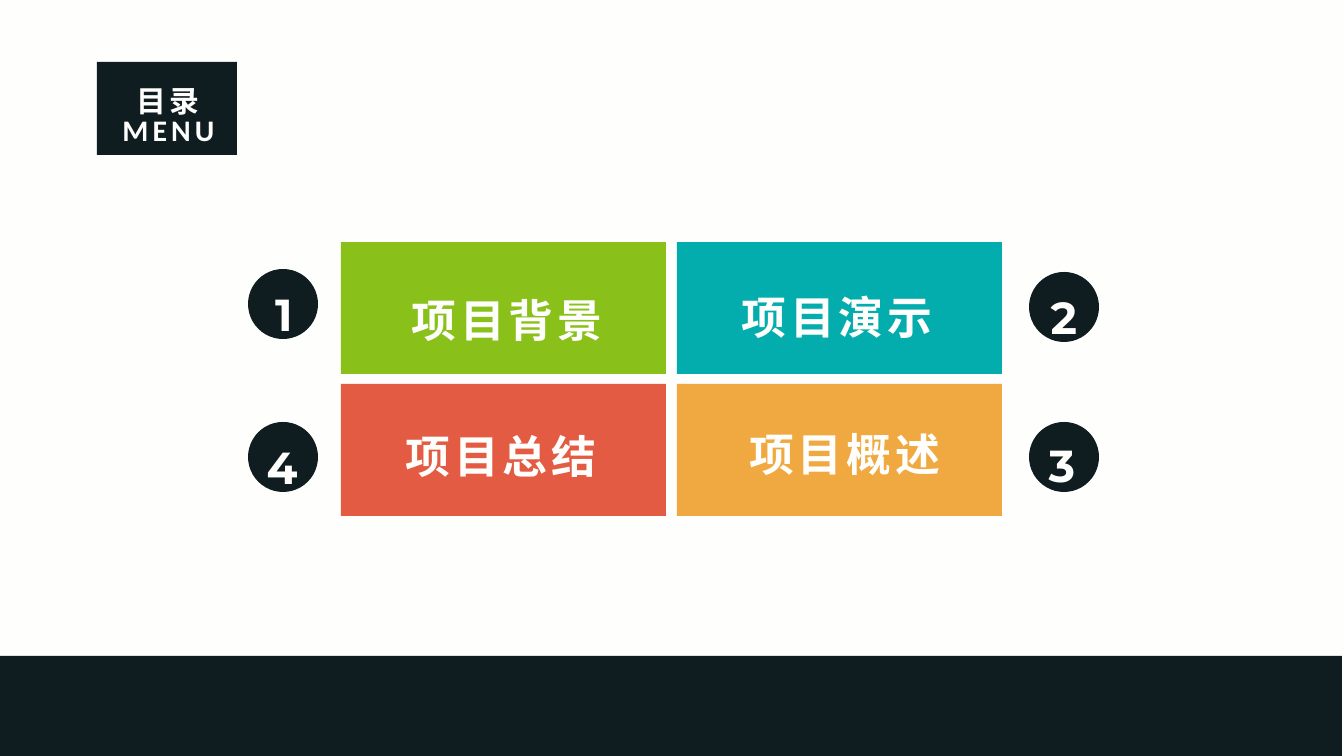
from dataclasses import dataclass

import lxml.etree
import pptx
import pptx.dml.color
import pptx.enum.shapes
import pptx.enum.text
import pptx.oxml.ns
import pptx.util

EMU_PER_PX = 914400 / 134.4
COLORS = {
    "paper": "FEFEFC", "ink": "0F1C20", "green": "89C01A",
    "teal": "03ADAD", "red": "E35B42", "orange": "F0A941",
}
CJK, NUMERAL, LATIN = "Noto Sans CJK SC", "Montserrat", "Calibri"
RECT = pptx.enum.shapes.MSO_SHAPE.RECTANGLE
OVAL = pptx.enum.shapes.MSO_SHAPE.OVAL

# Agenda grid
COL_X, ROW_Y = (341, 677), (242, 384)
TILE_W, TILE_H = 325, 132
LABEL_W, LABEL_H = 336, 145
DISC = 70
DISC_X = (248, 1029)
NUMBER_W, NUMBER_H = 180, 93


@dataclass
class Topic:
    number: str
    title: str
    color: str
    col: int
    row: int
    label_at: tuple[int, int]
    disc_y: int
    number_at: tuple[int, int]


TOPICS = [
    Topic("1", "项目背景", "green", 0, 0, (339, 234), 269, (194, 254)),
    Topic("2", "项目演示", "teal", 1, 0, (669, 231), 272, (974, 257)),
    Topic("3", "项目概述", "orange", 1, 1, (677, 368), 422, (972, 405)),
    Topic("4", "项目总结", "red", 0, 1, (333, 370), 422, (192, 407)),
]


def px(n: float) -> int:
    return round(n * EMU_PER_PX)


def rgb(name: str) -> pptx.dml.color.RGBColor:
    return pptx.dml.color.RGBColor.from_string(COLORS[name])


def add_block(s, kind, x: int, y: int, w: int, h: int, color: str) -> None:
    sp = s.shapes.add_shape(kind, px(x), px(y), px(w), px(h))
    sp.shadow.inherit = False
    sp.fill.solid()
    sp.fill.fore_color.rgb = rgb(color)
    sp.line.fill.background()


def add_label(s, text: str, x: int, y: int, w: int, h: int,
              size: int, font: str, spacing: float = 0) -> None:
    tf = s.shapes.add_textbox(px(x), px(y), px(w), px(h)).text_frame
    tf.word_wrap = True
    tf.vertical_anchor = pptx.enum.text.MSO_ANCHOR.MIDDLE
    p = tf.paragraphs[0]
    p.text = text
    p.alignment = pptx.enum.text.PP_ALIGN.CENTER
    p.line_spacing = 1.5
    p.font.size = pptx.util.Pt(size)
    p.font.bold = True
    p.font.name = font
    p.font.color.rgb = rgb("paper")
    # East Asian typeface and letter spacing
    props = p._p.pPr.find(pptx.oxml.ns.qn("a:defRPr"))
    ea = lxml.etree.SubElement(props, pptx.oxml.ns.qn("a:ea"))
    ea.set("typeface", font)
    if spacing:
        props.set("spc", str(round(spacing * 100)))


def add_topic(s, t: Topic) -> None:
    add_block(s, RECT, COL_X[t.col], ROW_Y[t.row], TILE_W, TILE_H, t.color)
    add_label(s, t.title, *t.label_at, LABEL_W, LABEL_H, 24, CJK, 2.2)
    add_block(s, OVAL, DISC_X[t.col], t.disc_y, DISC, DISC, "ink")
    add_label(s, t.number, *t.number_at, NUMBER_W, NUMBER_H, 24, NUMERAL)


prs = pptx.Presentation()
prs.slide_width, prs.slide_height = px(1344), px(756)
s = prs.slides.add_slide(prs.slide_layouts[6])
s.background.fill.solid()
s.background.fill.fore_color.rgb = rgb("paper")

# Agenda topics
for topic in TOPICS:
    add_topic(s, topic)

# Title badge
add_block(s, RECT, 97, 62, 140, 93, "ink")
add_label(s, "MENU", 81, 66, 175, 110, 16, LATIN, 2.2)
add_label(s, "目录", 67, 55, 202, 73, 16, CJK, 2.2)

# Footer band
add_block(s, RECT, -2, 656, 1344, 101, "ink")

prs.save("out.pptx")
